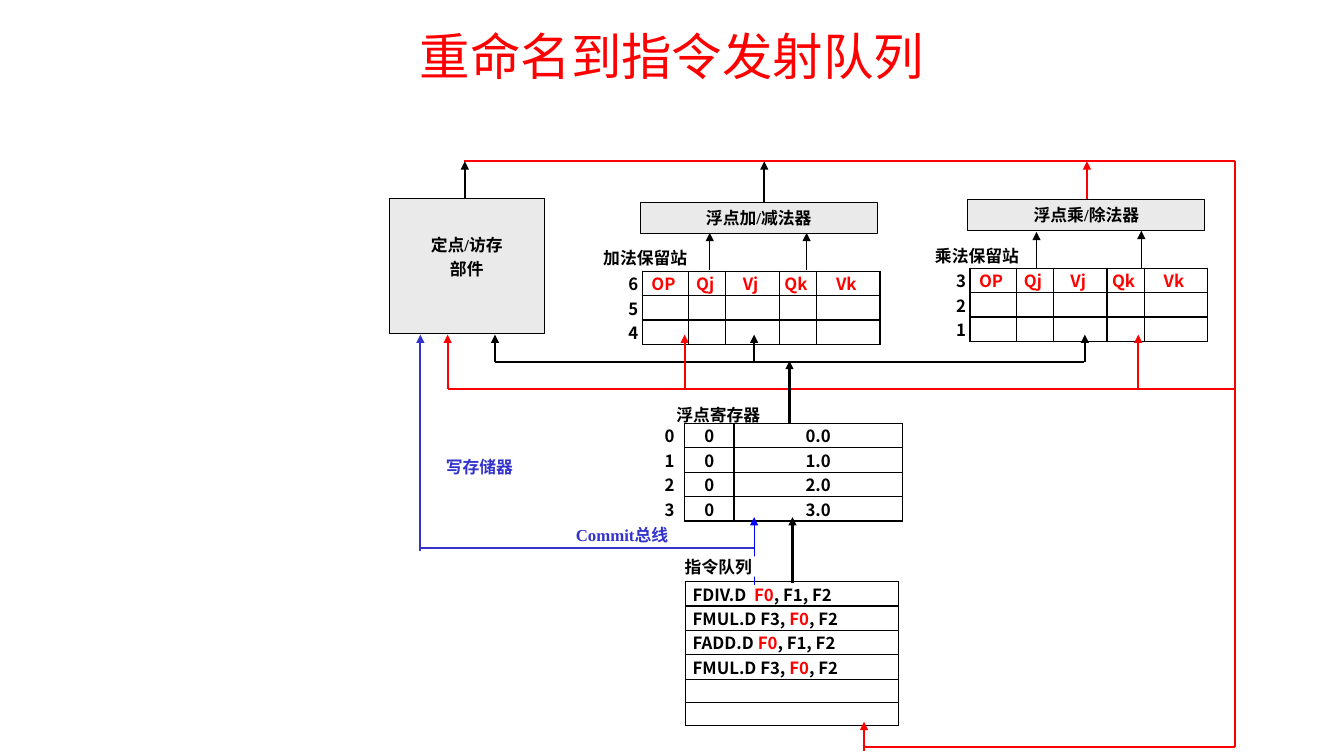
"""Slide: renaming registers into the instruction issue queue."""
from lxml import etree
from pptx import Presentation
from pptx import util as u
from pptx.dml.color import RGBColor
from pptx.enum import shapes, text
from pptx.oxml import ns

RED = RGBColor(0xFF, 0, 0)
BLACK = RGBColor(0, 0, 0)
BLUE = RGBColor(0x33, 0x33, 0xCC)
PURE = RGBColor(0, 0, 0xFF)
GRAY = RGBColor(0xEA, 0xEA, 0xEA)
WHITE = RGBColor(0xFF, 0xFF, 0xFF)
SANS, SERIF = "Noto Sans CJK SC", "Times New Roman"
MID, LEFT, RIGHT = text.PP_ALIGN.CENTER, text.PP_ALIGN.LEFT, text.PP_ALIGN.RIGHT

TITLE = "重命名到指令发射队列"
HEADS = ["OP", "Qj", "Vj", "Qk", "Vk"]
BLANK = [""] * len(HEADS)
WIDTHS = [0.22, 0.46, 0.37, 0.53, 0.37, 0.63]
REGS = [[str(n), "0", f"{n}.0"] for n in range(4)]
QUEUE = [["FDIV.D  F0, F1, F2"], ["FMUL.D F3, F0, F2"],
         ["FADD.D F0, F1, F2"], ["FMUL.D F3, F0, F2"], [""], [""]]
STATIONS = [(9.4, 2.66, 3), (6.15, 2.69, 6)]

TOP, READ, BACK, BASE, COMMIT = 1.6, 3.59, 3.86, 7.41, 5.44
EDGE = 12.25
FEET = 3.32
BUSES = [
    (4.6, TOP, EDGE, TOP, RED), (EDGE, TOP, EDGE, BASE, RED),
    (8.58, BASE, EDGE, BASE, RED), (4.44, BACK, EDGE, BACK, RED),
    (4.91, READ, 10.75, READ, BLACK), (4.17, COMMIT, 7.48, COMMIT, BLUE),
]
THIN = [(7.04, 2.68, 2.31, BLACK), (8, 2.68, 2.31, BLACK),
        (10.28, 2.66, 2.3, BLACK), (11.32, 2.66, 2.29, BLACK),
        (7.48, 5.8, 5.13, PURE)]
THICK = [(7.86, 5.78, 5.13, BLACK), (7.83, 4.21, 3.58, BLACK),
         (7.48, READ, FEET, BLACK), (10.76, READ, FEET, BLACK),
         (4.91, READ, FEET, BLACK), (6.79, BACK, FEET, RED),
         (11.29, BACK, FEET, RED), (4.44, BACK, FEET, RED),
         (4.61, 2, TOP, BLACK), (7.58, 2.01, TOP, BLACK),
         (10.78, 1.99, TOP, RED), (8.57, 7.45, 7.16, RED),
         (4.17, 5.47, FEET, BLUE)]
UNITS = [(6.35, 2.01, 2.35, 0.31, ["浮点加/减法器"], 0),
         (9.6, 1.98, 2.35, 0.31, ["浮点乘/除法器"], 0),
         (3.86, 1.97, 1.54, 1.34, ["定点/访存", "部件"], 0.18)]
LABELS = [(5.83, 2.46, 1.14, "加法保留站", BLACK, None),
          (6.53, 4.02, 1.19, "浮点寄存器", BLACK, None),
          (9.12, 2.44, 1.14, "乘法保留站", BLACK, None),
          (6.56, 5.52, 1.13, "指令队列", BLACK, WHITE),
          (4.27, 4.53, 0.97, "写存储器", BLUE, WHITE),
          (5.54, 5.21, 1.26, "Commit总线", BLUE, None)]


def box(*sizes):
    return [u.Inches(n) for n in sizes]


def write(frame, lines, size=12, color=BLACK, face=SANS, bold=True,
          align=MID, mark=""):
    """Fill a frame with lines; each mark within a line turns red."""
    for i, line in enumerate(lines):
        para = frame.paragraphs[0] if i == 0 else frame.add_paragraph()
        para.alignment = align
        if i:
            para.space_before = u.Pt(3)
        parts = line.partition(mark) if mark else (line,)
        for part in filter(None, parts):
            run = para.add_run()
            run.text = part
            font = run.font
            font.size, font.bold, font.name = u.Pt(size), bold, face
            font.color.rgb = RED if part == mark else color
            east = etree.SubElement(font._element, ns.qn("a:ea"))
            east.set("typeface", SANS)
        if not line:
            end = etree.SubElement(para._p, ns.qn("a:endParaRPr"))
            end.set("sz", str(size * 100))


def border(cell, sides):
    prop = cell._tc.get_or_add_tcPr()
    for side in "LRTB":
        line = etree.SubElement(prop, ns.qn("a:ln" + side), w="12700")
        if side in sides:
            fill = etree.SubElement(line, ns.qn("a:solidFill"))
            etree.SubElement(fill, ns.qn("a:srgbClr"), val=str(BLACK))
        else:
            etree.SubElement(line, ns.qn("a:noFill"))
    cell.fill.background()


def grid(slide, left, top, widths, height, rows, label=True, pad=(0.1, 0.1),
         align=MID, head=BLACK, mark=""):
    frame = slide.shapes.add_table(
        len(rows), len(widths),
        *box(left, top, sum(widths), height * len(rows)))
    table = frame.table
    table.first_row = table.horz_banding = False
    for col, width in zip(table.columns, widths):
        col.width = u.Inches(width)
    for r, row in enumerate(rows):
        table.rows[r].height = u.Inches(height)
        for c, word in enumerate(row):
            cell = table.cell(r, c)
            side = label and c == 0
            cell.margin_left, cell.margin_right = box(*pad)
            cell.margin_top = cell.margin_bottom = 0
            write(cell.text_frame, [word], align=RIGHT if side else align,
                  color=BLACK if side else head, mark=mark)
            border(cell, "R" if side else "LRTB")


def wire(slide, x1, y1, x2, y2, color, width=1.5, arrow=False):
    line = slide.shapes.add_connector(
        shapes.MSO_CONNECTOR.STRAIGHT, *box(x1, y1, x2, y2))
    line.line.color.rgb = color
    line.line.width = u.Pt(width)
    prop = line._element.spPr
    if arrow:
        etree.SubElement(prop.find(ns.qn("a:ln")), ns.qn("a:tailEnd"),
                         type="triangle")
    etree.SubElement(prop, ns.qn("a:effectLst"))


def block(slide, left, top, width, height, lines, fill=None, edge=False,
          drop=0, color=BLACK):
    if fill is None:
        shape = slide.shapes.add_textbox(*box(left, top, width, height))
    else:
        shape = slide.shapes.add_shape(
            shapes.MSO_SHAPE.RECTANGLE, *box(left, top, width, height))
        shape.shadow.inherit = False
        shape.fill.solid()
        shape.fill.fore_color.rgb = fill
        shape.line.fill.background()
    if edge:
        shape.line.color.rgb = BLACK
        shape.line.width = u.Pt(0.75)
    frame = shape.text_frame
    frame.word_wrap = True
    frame.margin_left = frame.margin_right = frame.margin_top = 0
    frame.margin_bottom = u.Inches(drop)
    frame.vertical_anchor = text.MSO_ANCHOR.MIDDLE
    write(frame, lines, face=SERIF, color=color)


def main():
    deck = Presentation()
    deck.slide_width, deck.slide_height = box(13.33, 7.5)
    slide = deck.slides.add_slide(deck.slide_layouts[5])
    title = slide.shapes.title
    title.left, title.top, title.width, title.height = box(1, 0.09, 11.33, 0.92)
    title.text_frame.vertical_anchor = text.MSO_ANCHOR.MIDDLE
    write(title.text_frame, [TITLE], size=36, color=RED, bold=False)

    grid(slide, 6.39, 4.2, [0.4, 0.49, 1.67], 0.24, REGS)
    grid(slide, 6.8, 5.77, [2.11], 0.23, QUEUE, label=False,
         pad=(0.07, 0.07), align=LEFT, mark="F0")
    for left, top, first in STATIONS:
        rows = [[str(first - i)] + (BLANK if i else HEADS) for i in range(3)]
        grid(slide, left, top, WIDTHS, 0.22, rows, pad=(0, 0.04), head=RED)

    for bus in BUSES:
        wire(slide, *bus)
    for width, arrows in ((0.75, THIN), (1.5, THICK)):
        for x, start, stop, color in arrows:
            wire(slide, x, start, x, stop, color, width, arrow=True)
    for *place, lines, drop in UNITS:
        block(slide, *place, lines, fill=GRAY, edge=True, drop=drop)
    for left, top, width, word, color, fill in LABELS:
        block(slide, left, top, width, 0.2, [word], fill=fill, color=color)
    deck.save("out.pptx")


if __name__ == "__main__":
    main()
